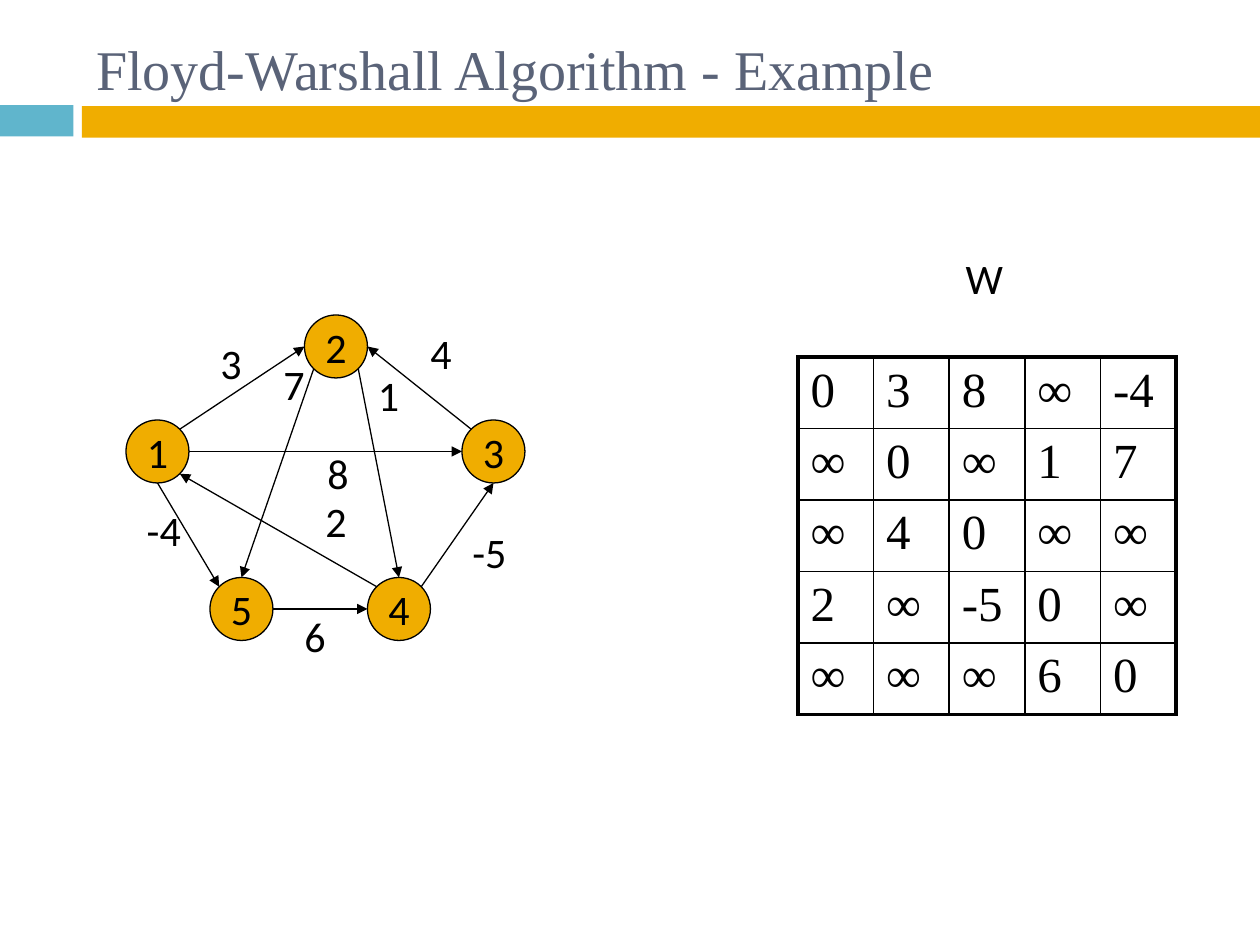
from dataclasses import dataclass
from math import cos, radians, sin

from lxml.etree import SubElement
from pptx import Presentation
from pptx.dml.color import RGBColor as Rgb
from pptx.enum.shapes import MSO_CONNECTOR as Connector, MSO_SHAPE as Shape
from pptx.enum.text import MSO_ANCHOR as Anchor, MSO_AUTO_SIZE as AutoSize, PP_ALIGN as Align
from pptx.oxml.ns import qn
from pptx.util import Inches, Pt


@dataclass(frozen=True)
class Theme:
    """Colours, fonts, type sizes and line widths of the slide."""
    ink: Rgb = Rgb.from_string("000000")
    heading: Rgb = Rgb.from_string("5A6378")
    gold: Rgb = Rgb.from_string("F0AD00")
    blue: Rgb = Rgb.from_string("60B5CC")
    serif: str = "Times New Roman"
    sans: str = "Calibri"
    title_size: int = 32
    matrix_size: int = 28
    graph_size: int = 24
    edge_line: float = 0.75
    inner_line: float = 1
    outer_line: float = 2.25


THEME = Theme()
COLUMNS, ROWS = 120, 90
NODE_SIZE = 6
NODES = {1: (0, 10), 2: (17, 0), 3: (32, 10), 4: (23, 25), 5: (8, 25)}
ANGLES = {"E": 0, "SE": 45, "S": 90, "SW": 135, "W": 180, "NW": 225, "N": 270, "NE": 315}
EDGES = [
    (1, "NE", 2, "W", 3, (7.8, 1.6)),
    (3, "NW", 2, "E", 4, (27.8, 0.6)),
    (1, "S", 5, "NW", -4, (0.8, 17.5)),
    (5, "E", 4, "W", 6, (15.8, 27.6)),
    (4, "NE", 3, "S", -5, (31.8, 19.6)),
    (4, "NW", 1, "SE", 2, (17.8, 16.6)),
    (1, "E", 3, "W", 8, (18, 12)),
    (2, "SW", 5, "N", 7, (13.8, 3.6)),
    (2, "SE", 4, "N", 1, (22.8, 4.6)),
]


def grid(*cells):
    """Turn counts of grid cells, twelve to the inch, into lengths."""
    return [Inches(count / 12) for count in cells]


def write(frame, text, font_name, size, color):
    """Put one paragraph in a text frame and set its font."""
    frame.text = text
    paragraph = frame.paragraphs[0]
    font = paragraph.font
    font.name, font.size, font.color.rgb = font_name, Pt(size), color
    return paragraph


def add_bar(slide, box, color):
    """Draw one plain bar."""
    bar = slide.shapes.add_shape(Shape.RECTANGLE, *grid(*box))
    bar.shadow.inherit = False
    bar.fill.solid()
    bar.fill.fore_color.rgb = color
    bar.line.fill.background()


def add_header(slide, box):
    """Place the two-colour band and the title above it."""
    left, top, width, height = box
    band, accent, gap = 3, 7, 0.8
    band_top = top + height
    add_bar(slide, (left, band_top, accent, band), THEME.blue)
    add_bar(slide, (left + accent + gap, band_top + 0.1, width - accent - gap, band), THEME.gold)
    title = slide.shapes.add_textbox(*grid(left + 8, top, width - 13, height)).text_frame
    title.word_wrap = True
    title.vertical_anchor = Anchor.MIDDLE
    write(title, "Floyd-Warshall Algorithm - Example", THEME.serif, THEME.title_size, THEME.heading)


def add_label(slide, box, text):
    """Place a short label that fits its text."""
    label = slide.shapes.add_textbox(*grid(*box)).text_frame
    label.word_wrap = False
    label.auto_size = AutoSize.SHAPE_TO_FIT_TEXT
    write(label, text, THEME.sans, THEME.graph_size, THEME.ink)


def add_node(slide, box, number):
    """Draw a numbered vertex."""
    node = slide.shapes.add_shape(Shape.FLOWCHART_CONNECTOR, *grid(*box))
    node.shadow.inherit = False
    node.fill.solid()
    node.fill.fore_color.rgb = THEME.gold
    node.line.color.rgb = THEME.ink
    node.line.width = Pt(THEME.edge_line)
    node.text_frame.word_wrap = False
    node.text_frame.vertical_anchor = Anchor.MIDDLE
    caption = write(node.text_frame, str(number), THEME.sans, THEME.graph_size, THEME.ink)
    caption.alignment = Align.CENTER


def add_edge(slide, start, end):
    """Draw an arrow between two grid points."""
    edge = slide.shapes.add_connector(Connector.STRAIGHT, *grid(*start, *end))
    edge.line.color.rgb = THEME.ink
    edge.line.width = Pt(THEME.edge_line)
    SubElement(edge.line._get_or_add_ln(), qn("a:tailEnd"), type="triangle")
    SubElement(edge._element.spPr, qn("a:effectLst"))


def add_graph(slide, box):
    """Place the weighted directed graph from the top left of its box."""
    left, top = box[:2]
    radius = NODE_SIZE / 2

    def rim(number, side):
        """Find the point of a vertex that faces a compass side."""
        column, row = NODES[number]
        angle = radians(ANGLES[side])
        return left + column + radius * (1 + cos(angle)), top + row + radius * (1 + sin(angle))

    for number, (column, row) in NODES.items():
        add_node(slide, (left + column, top + row, NODE_SIZE, NODE_SIZE), number)
    for source, source_side, target, target_side, weight, (column, row) in EDGES:
        add_edge(slide, rim(source, source_side), rim(target, target_side))
        label_width = 6 if weight < 0 else 4.7
        add_label(slide, (left + column, top + row, label_width, 6), str(weight))


def set_borders(cell, widths):
    """Rule the left, right, top and bottom of a cell."""
    properties = cell._tc.get_or_add_tcPr()
    for index, (side, width) in enumerate(zip("LRTB", widths)):
        border = properties.makeelement(qn(f"a:ln{side}"), {"w": str(Pt(width))})
        fill = SubElement(border, qn("a:solidFill"))
        SubElement(fill, qn("a:srgbClr"), val=str(THEME.ink))
        properties.insert(index, border)


def add_matrix(slide, box):
    """Place the weight matrix of the graph under its name."""
    left, top, width, height = box
    heading = 10.5
    add_label(slide, (left + 14.8, top, 6.5, 6), "W")
    count = len(NODES)
    table_box = grid(left, top + heading, width, height - heading)
    matrix = slide.shapes.add_table(count, count, *table_box).table
    matrix.first_row = matrix.horz_banding = False
    weights = {(source, target): weight for source, _, target, _, weight, _ in EDGES}
    weights.update({(number, number): 0 for number in NODES})

    def rule(at_edge):
        """Choose the line width for the rim or the inside."""
        return THEME.outer_line if at_edge else THEME.inner_line

    for row in range(count):
        for column in range(count):
            cell = matrix.cell(row, column)
            cell.fill.background()
            weight = weights.get((row + 1, column + 1), "∞")
            write(cell.text_frame, str(weight), THEME.serif, THEME.matrix_size, THEME.ink)
            last = count - 1
            set_borders(cell, [rule(column == 0), rule(column == last), rule(row == 0), rule(row == last)])


def main():
    """Build and save the slide."""
    deck = Presentation()
    deck.slide_width, deck.slide_height = grid(COLUMNS, ROWS)
    slide = deck.slides.add_slide(deck.slide_layouts[6])
    add_header(slide, (0, 3, COLUMNS, 7))
    add_graph(slide, (12, 30, 38, 31))
    add_matrix(slide, (76, 23.5, 36, 44.5))
    deck.save("out.pptx")


if __name__ == "__main__":
    main()
